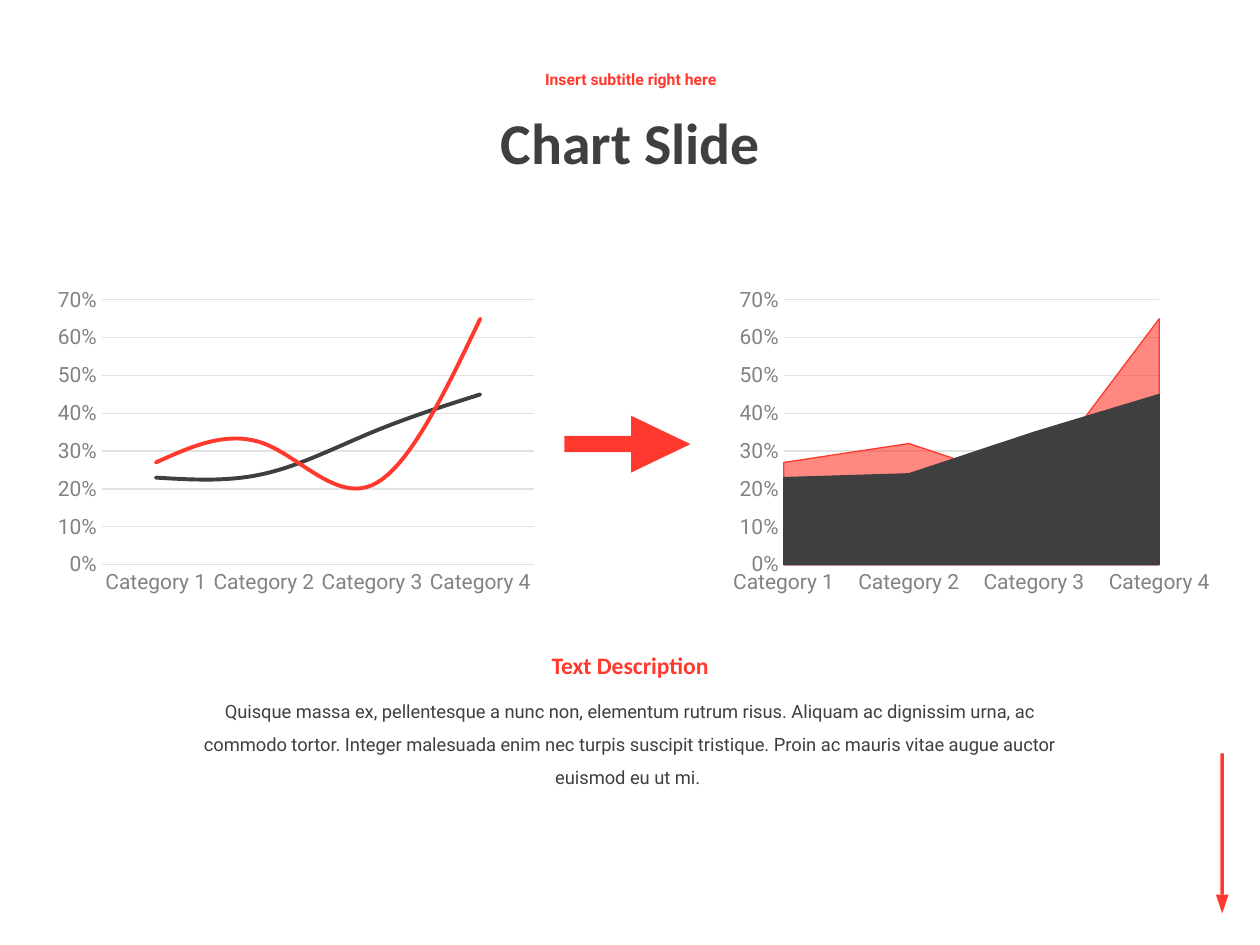
from lxml import etree
from pptx import Presentation
from pptx.chart.data import CategoryChartData
from pptx.dml.color import RGBColor
from pptx.enum.chart import XL_CHART_TYPE, XL_TICK_MARK
from pptx.enum.shapes import MSO_SHAPE
from pptx.enum.text import MSO_ANCHOR, PP_ALIGN
from pptx.oxml.ns import qn
from pptx.util import Inches, Pt

LINE, AREA = XL_CHART_TYPE.LINE, XL_CHART_TYPE.AREA
NO_TICK = XL_TICK_MARK.NONE
RECTANGLE, TRIANGLE = MSO_SHAPE.RECTANGLE, MSO_SHAPE.ISOSCELES_TRIANGLE
CENTER = PP_ALIGN.CENTER
TOP, MIDDLE = MSO_ANCHOR.TOP, MSO_ANCHOR.MIDDLE

COLORS = {"red": "FF392E", "dark": "3F3F3F", "label": "828282", "grid": "E2E2E2"}
HEADING_FONT, BODY_FONT = "Calibri", "Roboto"

CATEGORIES = [f"Category {number}" for number in range(1, 5)]
SERIES = [
    ("Series 1", (0.23, 0.24, 0.35, 0.45), "dark"),
    ("Series 2", (0.27, 0.32, 0.21, 0.65), "red"),
]
DESCRIPTION = (
    "Quisque massa ex, pellentesque a nunc non, elementum rutrum risus. "
    "Aliquam ac dignissim urna, ac commodo tortor. Integer malesuada enim nec "
    "turpis suscipit tristique. Proin ac mauris vitae augue auctor euismod eu ut mi. "
)


def color(name):
    return RGBColor.from_string(COLORS[name])


def style_font(font, name, size, color_name, bold=False):
    font.name = name
    font.size = Pt(size)
    font.bold = bold
    font.color.rgb = color(color_name)


def place(shape, left, top, width, height):
    shape.left, shape.top = Inches(left), Inches(top)
    shape.width, shape.height = Inches(width), Inches(height)


def write_text(shape, text, font, size, color_name, bold=False, anchor=TOP, spacing=1.0):
    text_frame = shape.text_frame
    text_frame.word_wrap = True
    text_frame.vertical_anchor = anchor
    text_frame.text = text
    paragraph = text_frame.paragraphs[0]
    paragraph.alignment = CENTER
    paragraph.line_spacing = spacing
    style_font(paragraph.runs[0].font, font, size, color_name, bold)


def add_text(slide, box, *args, **options):
    text_box = slide.shapes.add_textbox(*map(Inches, box))
    write_text(text_box, *args, **options)


def add_part(slide, kind, left, top, width, height, rotation=0):
    shape = slide.shapes.add_shape(kind, *map(Inches, (left, top, width, height)))
    shape.rotation = rotation
    shape.shadow.inherit = False
    shape.fill.solid()
    shape.fill.fore_color.rgb = color("red")
    shape.line.fill.background()


def add_right_arrow(slide, left, top, width, height):
    head_length, bar_height = 0.47, 0.13
    bar_length = width - head_length
    add_part(slide, RECTANGLE, left, top + (height - bar_height) / 2, bar_length, bar_height)
    # The head is drawn upright and turned about its centre.
    shift = (head_length - height) / 2
    add_part(slide, TRIANGLE, left + bar_length + shift, top - shift,
             height, head_length, 90)


def add_down_arrow(slide, left, top, width, height):
    head_length, bar_width = 0.15, 0.03
    bar_length = height - head_length
    add_part(slide, RECTANGLE, left + (width - bar_width) / 2, top, bar_width, bar_length)
    add_part(slide, TRIANGLE, left, top + bar_length, width, head_length, 180)


def style_axes(chart):
    for axis in (chart.category_axis, chart.value_axis):
        axis.major_tick_mark = axis.minor_tick_mark = NO_TICK
        style_font(axis.tick_labels.font, BODY_FONT, 12, "label")
    value_axis = chart.value_axis
    value_axis.minimum_scale, value_axis.maximum_scale = 0, 0.7
    value_axis.major_unit = 0.1
    value_axis.tick_labels.number_format = "0%"
    value_axis.tick_labels.number_format_is_linked = False
    value_axis.format.line.fill.background()
    value_axis.has_major_gridlines = True
    chart.category_axis.has_major_gridlines = False
    for line in (value_axis.major_gridlines.format.line, chart.category_axis.format.line):
        line.color.rgb = color("grid")
        line.width = Pt(0.75)


def add_percent_chart(slide, chart_type, left, top, width, height):
    data = CategoryChartData(number_format="0%")
    data.categories = CATEGORIES
    for name, values, _ in SERIES:
        data.add_series(name, values)
    frame = slide.shapes.add_chart(
        chart_type, *map(Inches, (left, top, width, height)), data)
    chart = frame.chart
    chart.has_title = chart.has_legend = False
    style_font(chart.font, BODY_FONT, 10, "dark")
    chart.plots[0].vary_by_categories = False
    style_axes(chart)
    for series, (_, _, color_name) in zip(chart.plots[0].series, SERIES):
        line = series.format.line
        line.color.rgb = color(color_name)
        line.width = Pt(2.25 if chart_type == LINE else 0.75)
        if chart_type == LINE:
            series.smooth = True
            series.format.line._ln.set("cap", "rnd")
        else:
            series.format.fill.solid()
            series.format.fill.fore_color.rgb = color(color_name)
    return chart


def add_area_chart(slide, *box):
    """Add the area chart, edge to edge, with its second series translucent."""
    chart = add_percent_chart(slide, AREA, *box)
    cross = chart.value_axis._element.find(qn("c:crossBetween"))
    if cross is not None:
        cross.set("val", "midCat")
    properties = chart.plots[0].series[1]._element.find(qn("c:spPr"))
    fill_color = properties.find(qn("a:solidFill")).find(qn("a:srgbClr"))
    etree.SubElement(fill_color, qn("a:alpha")).set("val", "60000")


def add_header(slide, left, top, width):
    title = slide.shapes.title
    place(title, left, top + 0.19, width, 1.03)
    write_text(title, "Chart Slide", HEADING_FONT, 33, "dark", True, MIDDLE, 0.9)
    add_text(slide, (left, top, width, 0.38), "Insert subtitle right here",
             BODY_FONT, 9, "red", True, MIDDLE, 0.9)


def add_description(slide, left, top, width):
    heading_width = 2.19
    add_text(slide, (left + (width - heading_width) / 2, top, heading_width, 0.33),
             "Text Description", HEADING_FONT, 13.5, "red", True)
    add_text(slide, (left, top + 0.3, width, 0.6), DESCRIPTION,
             BODY_FONT, 10.5, "dark", spacing=1.5)


def main():
    presentation = Presentation()
    presentation.slide_width, presentation.slide_height = Inches(10), Inches(7.5)
    slide = presentation.slides.add_slide(presentation.slide_layouts[5])
    add_down_arrow(slide, 9.65, 5.98, 0.1, 1.27)
    add_header(slide, 2.19, 0.45, 5.63)
    add_percent_chart(slide, LINE, 0.38, 2.23, 3.94, 2.54)
    add_right_arrow(slide, 4.48, 3.3, 1, 0.45)
    add_area_chart(slide, 5.74, 2.23, 3.94, 2.54)
    add_description(slide, 1.44, 5.12, 7.12)
    presentation.save("out.pptx")


if __name__ == "__main__":
    main()
